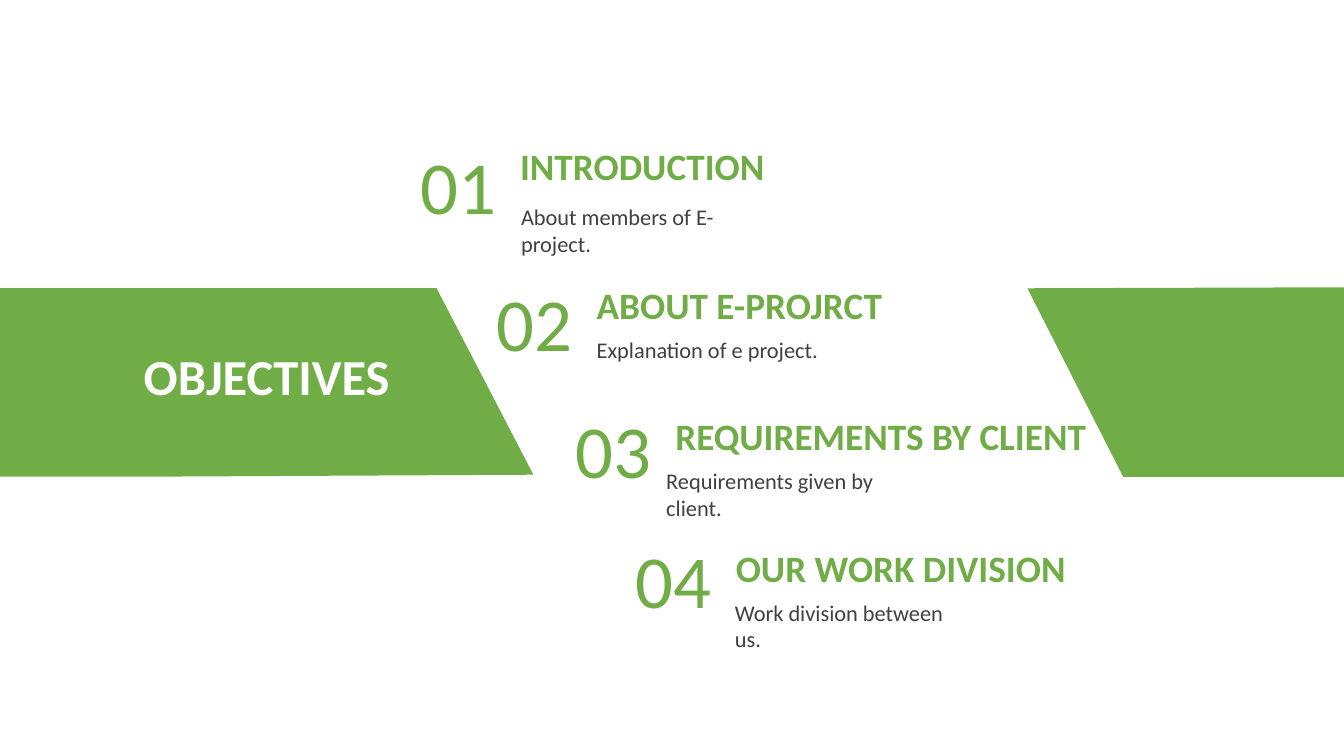
from pptx import Presentation
from pptx.dml.color import RGBColor
from pptx.enum.text import MSO_ANCHOR, PP_ALIGN
from pptx.util import Inches, Pt

WIDTH, HEIGHT = 13.33, 7.5
GREEN, GREY, WHITE = "70AD47", "404040", "FFFFFF"
TITLE = "OBJECTIVES"
OBJECTIVES = [
    ("01", "INTRODUCTION", "About members of E-project.", (4.07, 1.34), 1.37, (5.07, 1.97)),
    ("02", "ABOUT E-PROJRCT", "Explanation of e project.", (4.83, 2.7), 2.75, (5.82, 3.29)),
    ("03", "REQUIREMENTS BY CLIENT", "Requirements given by client.", (5.61, 3.96), 4.05, (6.51, 4.59)),
    ("04", "OUR WORK DIVISION", "Work division between us.", (6.21, 5.25), 5.36, (7.19, 5.89)),
]
BANDS = [
    [(0, 2.86), (4.33, 2.86), (5.29, 4.71), (1.34, 4.73), (0, 4.73)],
    [(10.19, 2.86), (WIDTH, 2.85), (WIDTH, 4.73), (11.14, 4.73)],
]
HEADING_OFFSET = 0.99


def colour(value):
    return RGBColor.from_string(value)


def write(box, text, size, shade, bold=False, wrap=False, align=PP_ALIGN.LEFT):
    frame = box.text_frame
    frame.word_wrap = wrap
    frame.vertical_anchor = MSO_ANCHOR.TOP
    para = frame.paragraphs[0]
    para.alignment = align
    span = para.add_run()
    span.text = text
    span.font.name = "Calibri"
    span.font.size = Pt(size)
    span.font.bold = bold
    span.font.color.rgb = colour(shade)


def add_text(page, left, top, width, height, *content, **style):
    box = page.shapes.add_textbox(Inches(left), Inches(top), Inches(width), Inches(height))
    write(box, *content, **style)


def add_band(page, corners):
    points = [(Inches(x), Inches(y)) for x, y in corners]
    builder = page.shapes.build_freeform(*points[0], scale=1.0)
    builder.add_line_segments(points[1:], close=True)
    band = builder.convert_to_shape()
    band.shadow.inherit = False
    band.fill.solid()
    band.fill.fore_color.rgb = colour(GREEN)
    band.line.fill.background()


def main():
    deck = Presentation()
    deck.slide_width, deck.slide_height = Inches(WIDTH), Inches(HEIGHT)
    page = deck.slides.add_slide(deck.slide_layouts[5])
    for corners in BANDS:
        add_band(page, corners)

    title = page.shapes.title
    title.left, title.top = Inches(1.26), Inches(3.37)
    title.width, title.height = Inches(2.77), Inches(0.71)
    write(title, TITLE, 36, WHITE, bold=True, align=PP_ALIGN.CENTER)
    page.shapes._spTree.append(title._element)

    for number, heading, detail, (left, top), heading_top, detail_at in OBJECTIVES:
        add_text(page, left, top, 1.03, 1, number, 53.4, GREEN)
        add_text(page, left + HEADING_OFFSET, heading_top, 4.5, 0.55, heading, 26.6, GREEN, bold=True)
        add_text(page, *detail_at, 2.5, 0.37, detail, 16, GREY, wrap=True)

    deck.save("out.pptx")


if __name__ == "__main__":
    main()
